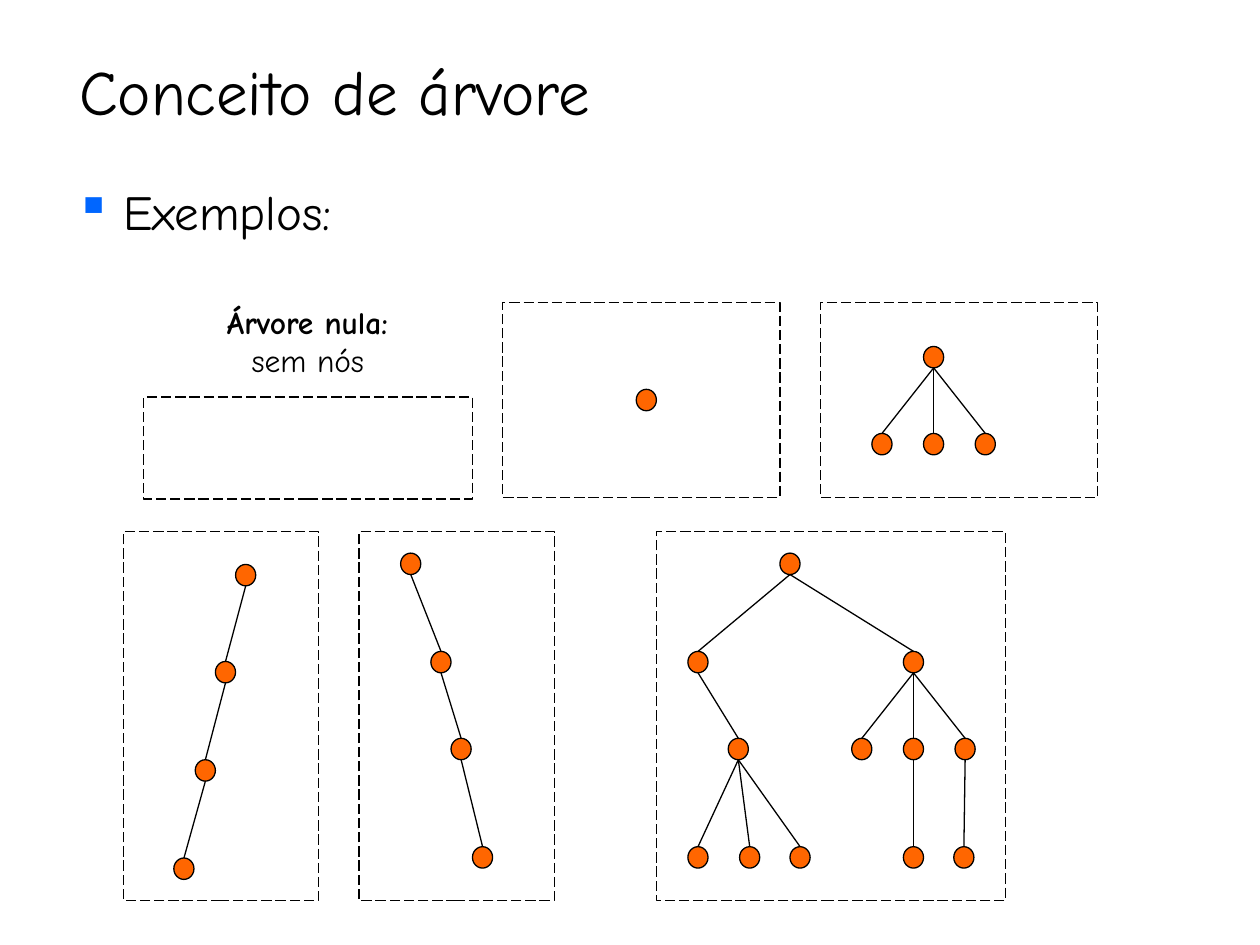
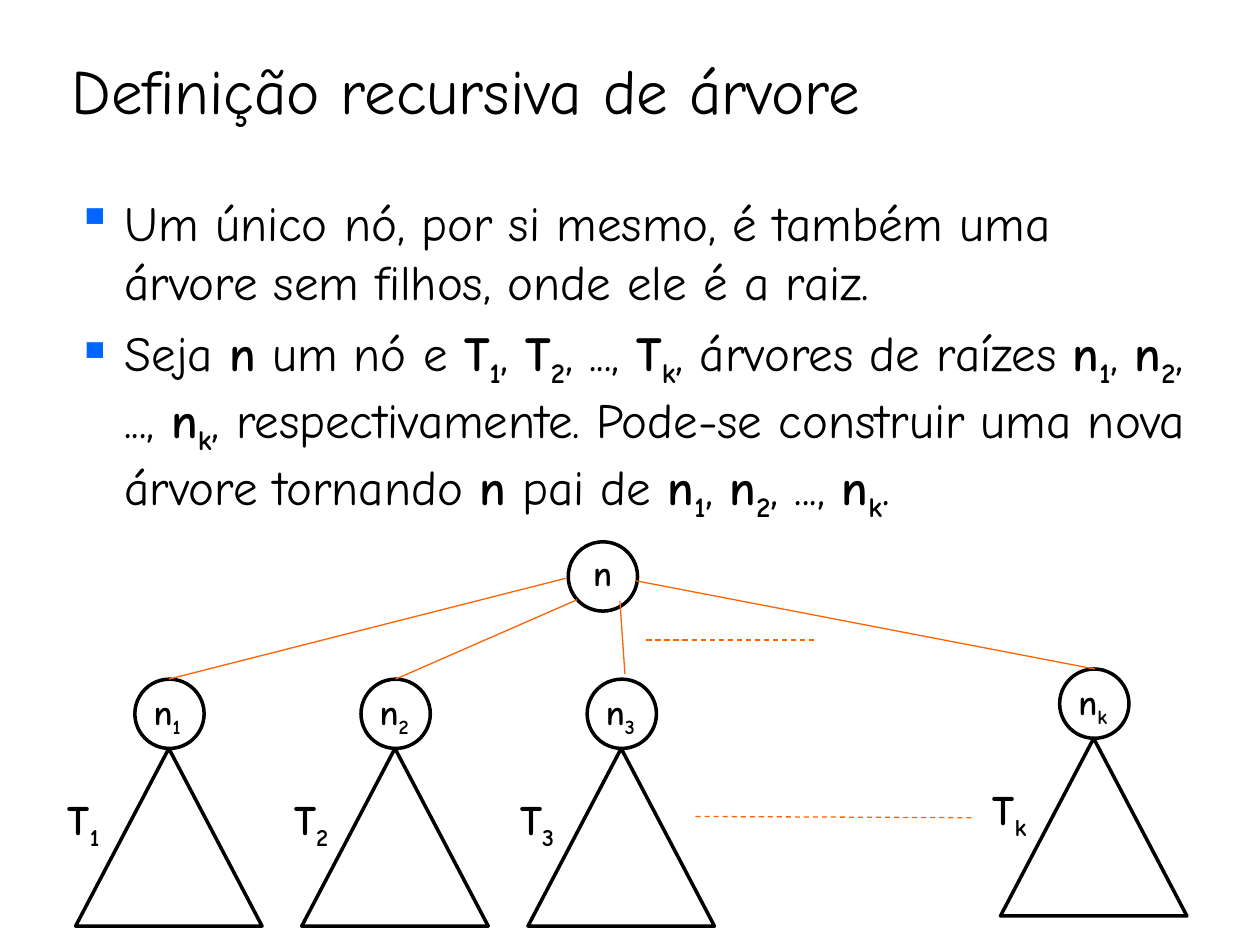
from lxml import etree
from pptx import Presentation
from pptx.dml.color import RGBColor
from pptx.enum.dml import MSO_LINE
from pptx.enum.shapes import MSO_CONNECTOR, MSO_SHAPE
from pptx.enum.text import MSO_ANCHOR, PP_ALIGN
from pptx.oxml.ns import qn
from pptx.util import Inches, Pt

STRAIGHT = MSO_CONNECTOR.STRAIGHT
OVAL, RECTANGLE = MSO_SHAPE.OVAL, MSO_SHAPE.RECTANGLE
TRIANGLE = MSO_SHAPE.ISOSCELES_TRIANGLE
DASH, LONG_DASH = MSO_LINE.DASH, MSO_LINE.LONG_DASH
TOP, BOTTOM = MSO_ANCHOR.TOP, MSO_ANCHOR.BOTTOM
LEFT, CENTER = PP_ALIGN.LEFT, PP_ALIGN.CENTER

BLACK, NODE_FILL, EDGE_ORANGE, BULLET_BLUE = "000000", "FF6600", "FF6200", "0066FF"
NODE_WIDTH, NODE_HEIGHT = 0.16, 0.17


def color(value):
    return RGBColor.from_string(value)


def apply(target, **values):
    for name, value in values.items():
        setattr(target, name, value)


class Deck:
    font_name = "Comic Neue"

    def __init__(self):
        self.presentation = Presentation()
        apply(self.presentation, slide_width=Inches(10), slide_height=Inches(7.5))
        self.slide = None

    def new_slide(self, title, left, top, width, height):
        self.slide = self.presentation.slides.add_slide(self.presentation.slide_layouts[6])
        self.text([title], left, top, width, height, 36, anchor=BOTTOM)

    def outline(self, line, hue, weight, dash):
        line.color.rgb = color(hue)
        line.width = Pt(weight)
        if dash is not None:
            line.dash_style = dash

    def shape(self, preset, left, top, width, height, fill=None, weight=0.75, dash=None):
        shape = self.slide.shapes.add_shape(
            preset, Inches(left), Inches(top), Inches(width), Inches(height))
        shape.shadow.inherit = False
        if fill:
            shape.fill.solid()
            shape.fill.fore_color.rgb = color(fill)
        else:
            shape.fill.background()
        self.outline(shape.line, BLACK, weight, dash)

    def line(self, start, end, hue=BLACK, dash=None):
        connector = self.slide.shapes.add_connector(
            STRAIGHT, *(Inches(value) for value in (*start, *end)))
        etree.SubElement(connector._element.spPr, qn("a:effectLst"))
        self.outline(connector.line, hue, 0.75, dash)

    def text(self, lines, left, top, width, height, size, anchor=TOP, align=LEFT,
             wrap=True, bullet=False, gap=0):
        box = self.slide.shapes.add_textbox(
            Inches(left), Inches(top), Inches(width), Inches(height))
        frame = box.text_frame
        apply(frame, word_wrap=wrap, vertical_anchor=anchor)
        for index, line in enumerate(lines):
            paragraph = frame.add_paragraph() if index else frame.paragraphs[0]
            apply(paragraph, alignment=align, space_before=Pt(gap if index else 0))
            if bullet:
                self.bullet(paragraph)
            apply(paragraph.font, name=self.font_name, size=Pt(size))
            self.runs(paragraph, line, size)

    def bullet(self, paragraph):
        properties = paragraph._p.get_or_add_pPr()
        properties.set("marL", str(Inches(0.38)))
        properties.set("indent", str(-Inches(0.38)))
        bullet_color = etree.SubElement(properties, qn("a:buClr"))
        etree.SubElement(bullet_color, qn("a:srgbClr"), val=BULLET_BLUE)
        etree.SubElement(properties, qn("a:buChar"), char="▪")

    def runs(self, paragraph, line, size):
        for index, piece in enumerate(line.split("*")):
            base, _, subscript = piece.partition("_")
            for content, offset in ((base, None), (subscript, "-25000")):
                if not content:
                    continue
                run = paragraph.add_run()
                run.text = content
                apply(run.font, name=self.font_name, size=Pt(size), bold=index % 2 == 1)
                run.font.color.rgb = color(BLACK)
                if offset:
                    run._r.get_or_add_rPr().set("baseline", offset)

    def tree(self, center, top, *children):
        for child in children:
            self.line((center, top + NODE_HEIGHT), child[:2])
            self.tree(*child)
        self.shape(OVAL, center - NODE_WIDTH / 2, top, NODE_WIDTH, NODE_HEIGHT, NODE_FILL)

    def subtree(self, left, top, key):
        self.shape(TRIANGLE, left, top, 1.48, 1.41, weight=2)
        self.shape(OVAL, left + 0.47, top - 0.55, 0.55, 0.55, weight=2)
        self.text([f"*n_{key}*"], left + 0.52, top - 0.51, 0.62, 0.48, 20)
        self.text([f"*T_{key}*"], left - 0.16, top + 0.31, 0.62, 0.56, 24)


def build_examples(deck):
    deck.new_slide("Conceito de árvore", 0.53, 0.4, 8.52, 0.67)
    deck.text(["Exemplos:"], 0.5, 1.39, 3.82, 0.82, 28, bullet=True)
    deck.text(["*Árvore nula: *", "sem nós "], 1.7, 2.36, 1.57, 0.7, 18,
              align=CENTER, wrap=False)

    frames = [(1.14, 3.15, 2.61, 0.81), (3.99, 2.4, 2.2, 1.55), (6.51, 2.4, 2.2, 1.55),
              (0.98, 4.22, 1.55, 2.93), (2.85, 4.22, 1.55, 2.93), (5.21, 4.22, 2.77, 2.93)]
    for frame in frames:
        deck.shape(RECTANGLE, *frame, dash=LONG_DASH)

    single_node = (5.13, 3.09)
    three_children = (7.41, 2.75, (7, 3.44), (7.41, 3.44), (7.82, 3.44))
    left_chain = (1.95, 4.48, (1.79, 5.25, (1.63, 6.03, (1.46, 6.81))))
    right_chain = (3.26, 4.39, (3.5, 5.17, (3.66, 5.86, (3.83, 6.72))))
    left_branch = (5.54, 5.17, (5.86, 5.86, (5.54, 6.72), (5.95, 6.72), (6.35, 6.72)))
    right_branch = (7.25, 5.17, (6.84, 5.86), (7.25, 5.86, (7.25, 6.72)),
                    (7.66, 5.86, (7.65, 6.72)))
    full_tree = (6.27, 4.39, left_branch, right_branch)
    for root in (single_node, three_children, left_chain, right_chain, full_tree):
        deck.tree(*root)


def build_definition(deck):
    deck.new_slide("Definição recursiva de árvore", 0.47, 0.31, 8.77, 0.75)
    deck.text([
        "Um único nó, por si mesmo, é também uma árvore sem filhos, onde ele é a raiz.",
        "Seja *n* um nó e *T_1*, *T_2*, ..., *T_k*, árvores de raízes *n_1*, *n_2*, ..., "
        "*n_k*, respectivamente. Pode-se construir uma nova árvore tornando *n* pai de "
        "*n_1*, *n_2*, ..., *n_k*.",
    ], 0.51, 1.48, 9.08, 3.06, 28, bullet=True, gap=7)

    for index in range(3):
        deck.subtree(0.6 + 1.795 * index, 5.94, index + 1)
    deck.subtree(7.94, 5.86, "k")
    deck.shape(OVAL, 4.51, 4.3, 0.55, 0.55, weight=2)
    deck.text(["*n*"], 4.61, 4.33, 0.62, 0.44, 20)

    edges = [((4.49, 4.59), (1.34, 5.39)), ((4.58, 4.76), (3.14, 5.39)),
             ((4.92, 4.77), (4.96, 5.35)), ((5.05, 4.61), (8.69, 5.31))]
    for start, end in edges:
        deck.line(start, end, EDGE_ORANGE)
    deck.line((5.13, 5.08), (6.46, 5.08), EDGE_ORANGE, DASH)
    deck.line((5.52, 6.48), (7.71, 6.49), EDGE_ORANGE, DASH)


def main():
    deck = Deck()
    build_examples(deck)
    build_definition(deck)
    deck.presentation.save("out.pptx")


if __name__ == "__main__":
    main()
